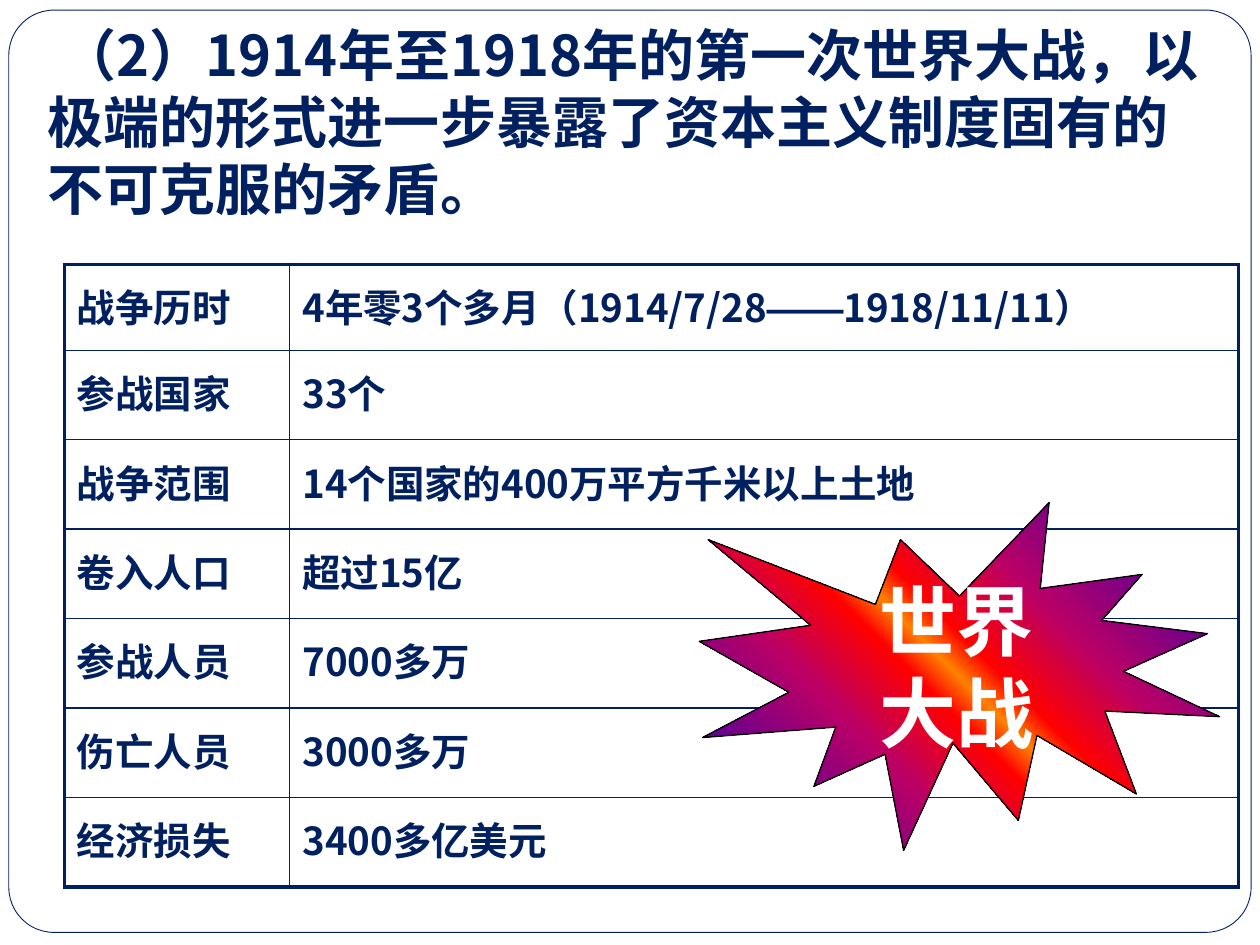
from dataclasses import dataclass

from pptx import Presentation
from pptx.dml.color import RGBColor
from pptx.enum.shapes import MSO_SHAPE
from pptx.enum.text import MSO_ANCHOR, MSO_AUTO_SIZE, PP_ALIGN
from pptx.oxml.ns import qn
from pptx.oxml.xmlchemy import OxmlElement
from pptx.util import Inches, Pt


@dataclass(frozen=True)
class Theme:
    navy: str = "002060"
    white: str = "FFFFFF"
    black: str = "000000"
    font: str = "Noto Sans CJK JP"
    dash_font: str = "Arial"
    title: int = 32
    cell: int = 22
    burst: int = 44
    thick: float = 2.25
    thin: float = 1


THEME = Theme()
TITLE = "（2）1914年至1918年的第一次世界大战，以极端的形式进一步暴露了资本主义制度固有的不可克服的矛盾。"
# Each value is a list of runs; a run of dashes takes the dash font.
FACTS = [
    ("战争历时", ["4年零3个多月（1914/7/28", "——", "1918/11/11）"]),
    ("参战国家", ["33个"]),
    ("战争范围", ["14个国家的400万平方千米以上土地"]),
    ("卷入人口", ["超过15亿"]),
    ("参战人员", ["7000多万"]),
    ("伤亡人员", ["3000多万"]),
    ("经济损失", ["3400多亿美元"]),
]
COLUMNS = [1.79, 7.53]
FIRST_ROW, ROW = 0.68, 0.71
HALF_GRADIENT = [(0, "000082"), (15, "66008F"), (32, "BA0066"), (45, "FF0000")]
GRADIENT = (HALF_GRADIENT + [(50, "FF8200")]
            + [(100 - pos, color) for pos, color in reversed(HALF_GRADIENT)])


def rgb(color):
    return RGBColor.from_string(color)


def child(parent, tag, **attrs):
    el = OxmlElement(tag)
    for name, value in attrs.items():
        el.set(name, str(value))
    parent.append(el)
    return el


def format_run(r, size, color, font=THEME.font):
    r.font.size = Pt(size)
    r.font.bold = True
    r.font.color.rgb = rgb(color)
    r.font.name = font
    child(r.font._element, "a:ea", typeface=font)


def add_shape(slide, kind, box, line, width):
    sp = slide.shapes.add_shape(kind, *map(Inches, box))
    sp.shadow.inherit = False
    sp.line.color.rgb = rgb(line)
    sp.line.width = Pt(width)
    return sp


def add_frame(slide):
    sp = add_shape(slide, MSO_SHAPE.ROUNDED_RECTANGLE,
                   (0.07, 0.08, 9.86, 7.32), THEME.navy, 0.5)
    sp.adjustments[0] = 0.049
    sp.fill.solid()
    sp.fill.fore_color.rgb = rgb(THEME.white)
    slide.shapes._spTree.insert(2, sp._element)  # behind the title


def set_title(slide):
    sp = slide.shapes.title
    sp.left, sp.top, sp.width, sp.height = map(Inches, (0.28, 0.21, 9.53, 1.65))
    tf = sp.text_frame
    tf.text = TITLE
    tf.word_wrap = True
    tf.auto_size = MSO_AUTO_SIZE.NONE
    tf.vertical_anchor = MSO_ANCHOR.BOTTOM
    tf.margin_left = tf.margin_right = tf.margin_bottom = Inches(0.1)
    tf.margin_top = Inches(0.05)
    p = tf.paragraphs[0]
    p.alignment = PP_ALIGN.LEFT
    p._p.get_or_add_pPr().set("indent", str(Inches(0.1)))
    format_run(p.runs[0], THEME.title, THEME.navy)


def style_cell(cell, outer):
    """Draw the four borders, thick on the outer sides, and a half-clear fill."""
    tcPr = cell._tc.get_or_add_tcPr()
    for side in "LRTB":
        width = THEME.thick if side in outer else THEME.thin
        ln = child(tcPr, f"a:ln{side}", w=int(Pt(width)))
        child(child(ln, "a:solidFill"), "a:srgbClr", val=THEME.navy)
    cell.fill.solid()
    cell.fill.fore_color.rgb = rgb(THEME.white)
    child(tcPr.find(".//" + qn("a:solidFill") + "[last()]")
          if tcPr[-1].tag != qn("a:solidFill") else tcPr[-1][0],
          "a:alpha", val=50000)


def fill_cell(cell, texts):
    cell.margin_top = Inches(0.11)
    p = cell.text_frame.paragraphs[0]
    for text in texts:
        r = p.add_run()
        r.text = text
        font = THEME.dash_font if text == "——" else THEME.font
        format_run(r, THEME.cell, THEME.navy, font)


def add_facts(slide):
    last = len(FACTS) - 1
    heights = [FIRST_ROW] + [ROW] * last
    table = slide.shapes.add_table(
        len(FACTS), len(COLUMNS), Inches(0.51), Inches(2.1),
        Inches(sum(COLUMNS)), Inches(sum(heights))).table
    table.first_row = table.horz_banding = False
    for column, width in zip(table.columns, COLUMNS):
        column.width = Inches(width)
    for i, (label, value) in enumerate(FACTS):
        table.rows[i].height = Inches(heights[i])
        edge = ("T" if i == 0 else "") + ("B" if i == last else "")
        for j, (texts, side) in enumerate((([label], "L"), (value, "R"))):
            cell = table.cell(i, j)
            fill_cell(cell, texts)
            style_cell(cell, edge + side)


def add_burst(slide):
    sp = add_shape(slide, MSO_SHAPE.EXPLOSION1, (5.55, 3.99, 4.13, 2.76),
                   THEME.black, 0.75)
    sp.fill.gradient()
    sp.fill.gradient_angle = 45
    stops = sp._element.spPr.find(".//" + qn("a:gsLst"))
    stops.clear()
    for pos, color in GRADIENT:
        child(child(stops, "a:gs", pos=pos * 1000), "a:srgbClr", val=color)
    tf = sp.text_frame
    tf.text = "世界\n大战"
    tf.word_wrap = False
    tf.vertical_anchor = MSO_ANCHOR.MIDDLE
    for p in tf.paragraphs:
        p.alignment = PP_ALIGN.CENTER
        format_run(p.runs[0], THEME.burst, THEME.white)


def main():
    prs = Presentation()
    prs.slide_width, prs.slide_height = Inches(10), Inches(7.5)
    slide = prs.slides.add_slide(prs.slide_layouts[5])
    add_frame(slide)
    set_title(slide)
    add_facts(slide)
    add_burst(slide)
    prs.save("out.pptx")


if __name__ == "__main__":
    main()
